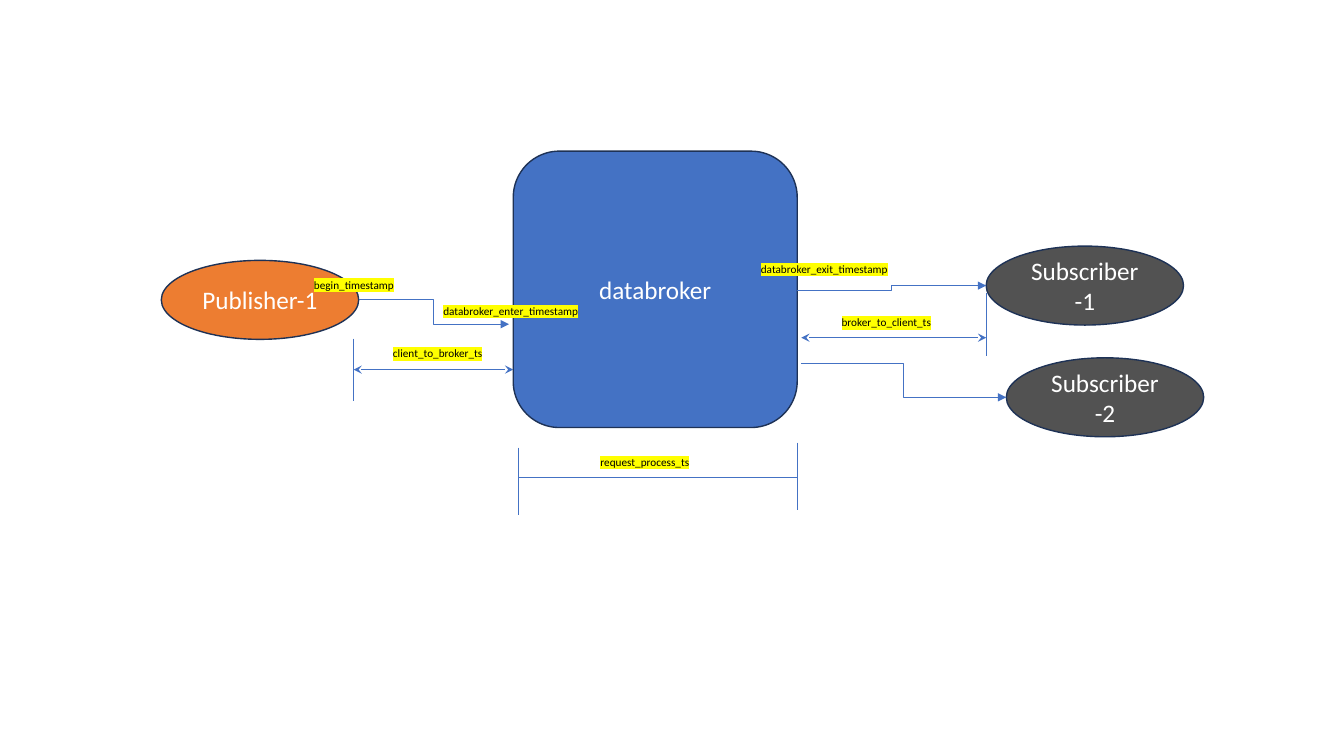
from dataclasses import dataclass

from lxml.etree import SubElement
from pptx import Presentation
from pptx.dml.color import RGBColor
from pptx.enum.shapes import MSO_CONNECTOR as Link, MSO_SHAPE as Shape
from pptx.enum.text import MSO_ANCHOR as Anchor, MSO_AUTO_SIZE as AutoSize, PP_ALIGN as Align
from pptx.oxml.ns import qn
from pptx.util import Inches, Pt


@dataclass(frozen=True)
class Theme:
    font: str = "Calibri"
    node_size: float = 18
    label_size: float = 8
    outline_width: float = 1
    link_width: float = 0.5
    publisher: str = "ED7D31"
    subscriber: str = "525252"
    broker: str = "4472C4"
    link: str = "4472C4"
    outline: str = "1E3256"
    node_text: str = "FFFFFF"
    label_text: str = "000000"
    highlight: str = "FFFF00"


class Diagram:
    columns, rows = 160, 90

    def __init__(self, deck, theme):
        self.theme = theme
        self.column = deck.slide_width / self.columns
        self.row = deck.slide_height / self.rows
        self.page = deck.slides.add_slide(deck.slide_layouts[6])

    def place(self, *lengths):
        units = (self.column, self.row) * 2
        return [round(length * unit) for length, unit in zip(lengths, units)]

    def fill_text(self, frame, text, size, color):
        frame.text = text
        font = frame.paragraphs[0].runs[0].font
        font.name, font.size = self.theme.font, Pt(size)
        font.color.rgb = RGBColor.from_string(color)

    def node(self, text, kind, left, top, width, height, fill):
        box = self.page.shapes.add_shape(kind, *self.place(left, top, width, height))
        box.shadow.inherit = False
        box.fill.solid()
        box.fill.fore_color.rgb = RGBColor.from_string(fill)
        box.line.color.rgb = RGBColor.from_string(self.theme.outline)
        box.line.width = Pt(self.theme.outline_width)
        self.fill_text(box.text_frame, text, self.theme.node_size, self.theme.node_text)
        box.text_frame.word_wrap = True
        box.text_frame.vertical_anchor = Anchor.MIDDLE
        box.text_frame.paragraphs[0].alignment = Align.CENTER

    def line(self, start, end, kind=Link.STRAIGHT, head=None, tail=None):
        link = self.page.shapes.add_connector(kind, *self.place(*start, *end))
        link.line.color.rgb = RGBColor.from_string(self.theme.link)
        link.line.width = Pt(self.theme.link_width)
        properties = link._element.spPr
        outline = properties.find(qn("a:ln"))
        for name, arrow in (("a:headEnd", head), ("a:tailEnd", tail)):
            if arrow:
                SubElement(outline, qn(name), type=arrow)
        SubElement(properties, qn("a:effectLst"))

    def flow(self, start, end):
        self.line(start, end, Link.ELBOW, tail="triangle")

    def span(self, start, end):
        self.line(start, end, head="stealth", tail="stealth")

    def label(self, text, left, top, width):
        box = self.page.shapes.add_textbox(*self.place(left, top, width, 2.9))
        frame = box.text_frame
        self.fill_text(frame, text, self.theme.label_size, self.theme.label_text)
        frame.word_wrap = True
        frame.auto_size = AutoSize.SHAPE_TO_FIT_TEXT
        properties = frame.paragraphs[0].runs[0].font._element
        highlight = SubElement(properties, qn("a:highlight"))
        SubElement(highlight, qn("a:srgbClr"), val=self.theme.highlight)
        properties.find(qn("a:solidFill")).addnext(highlight)


def main():
    deck = Presentation()
    deck.slide_width, deck.slide_height = Inches(13.33), Inches(7.5)
    theme = Theme()
    diagram = Diagram(deck, theme)

    for text, left, top, fill in (
        ("Publisher-1", 19.2, 31, theme.publisher),
        ("Subscriber -1", 117.4, 29.3, theme.subscriber),
        ("Subscriber -2", 119.8, 42.6, theme.subscriber),
    ):
        diagram.node(text, Shape.OVAL, left, top, 23.5, 9.4, fill)
    diagram.node("databroker", Shape.ROUNDED_RECTANGLE, 61.1, 18, 33.8, 32.9, theme.broker)

    diagram.flow((42.7, 35.6), (60.6, 38.6))
    diagram.flow((94.9, 34.6), (117.4, 34))
    diagram.flow((95.4, 43.3), (119.8, 47.3))

    for left, top, height in (
        (42.1, 40.3, 7.5),
        (61.7, 53.3, 8),
        (94.9, 52.7, 8),
        (117.4, 34.9, 7.5),
    ):
        diagram.line((left, top), (left, top + height))
    diagram.line((61.7, 56.8), (94.9, 56.8))
    diagram.span((42.1, 44), (61.1, 44))
    diagram.span((95.4, 40.2), (117.4, 40.2))

    narrow, wide = 14.2, 20
    for text, left, top, width in (
        ("begin_timestamp", 36.2, 32.5, narrow),
        ("databroker_enter_timestamp", 51.6, 35.6, wide),
        ("databroker_exit_timestamp", 89.4, 30.6, wide),
        ("request_process_ts", 70.3, 53.6, narrow),
        ("client_to_broker_ts", 45.6, 40.7, narrow),
        ("broker_to_client_ts", 99, 37, narrow),
    ):
        diagram.label(text, left, top, width)

    deck.save("out.pptx")


if __name__ == "__main__":
    main()
